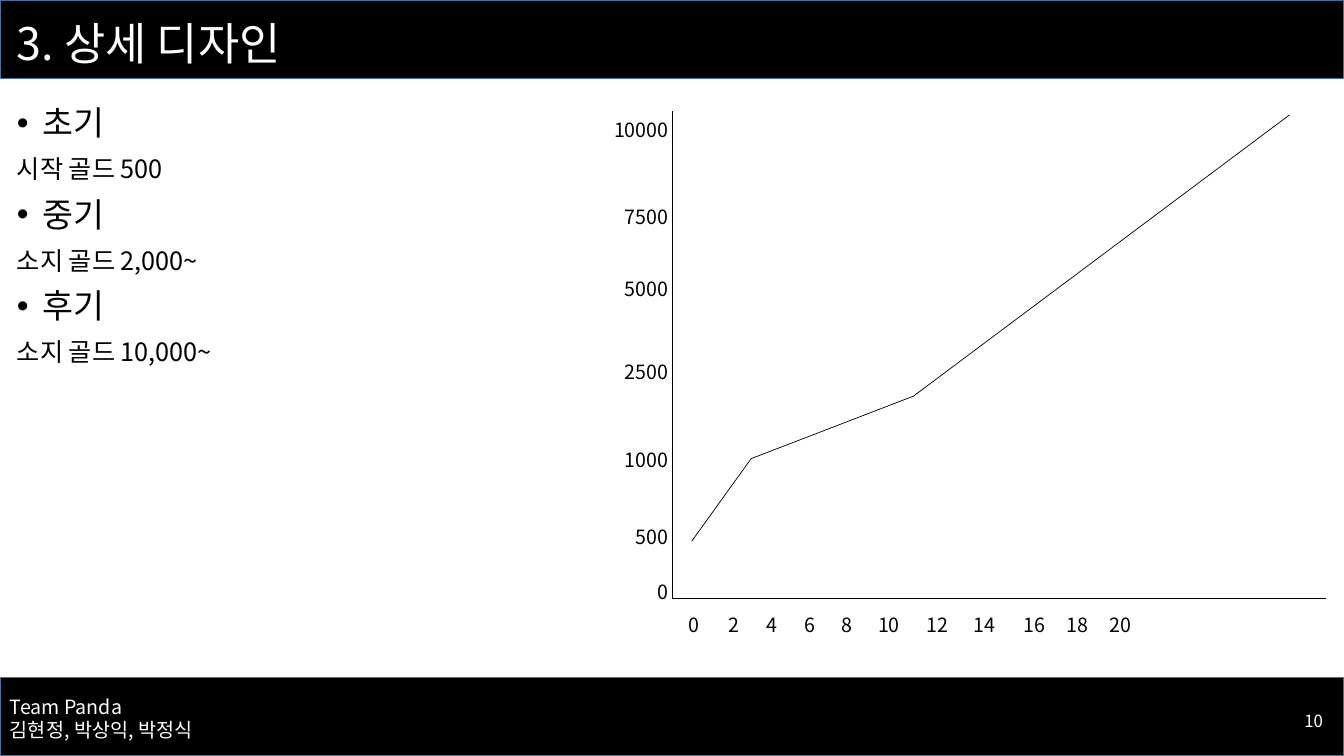
from itertools import pairwise

from lxml.etree import SubElement
from pptx import Presentation
from pptx.dml.color import RGBColor
from pptx.enum.shapes import MSO_CONNECTOR, MSO_SHAPE
from pptx.enum.text import MSO_ANCHOR, MSO_AUTO_SIZE, PP_ALIGN
from pptx.oxml.ns import qn
from pptx.util import Pt

PX = 9144  # EMU per px, 100 px to the inch


class Theme:
    font = "Noto Sans CJK KR"
    black = RGBColor(0x00, 0x00, 0x00)
    white = RGBColor(0xFF, 0xFF, 0xFF)
    bar_edge = RGBColor(0x43, 0x73, 0x9E)
    title, heading, body, label, page = 32, 24, 18, 14, 12


presentation = Presentation()
presentation.slide_width = 1333 * PX
presentation.slide_height = 750 * PX
slide = presentation.slides.add_slide(presentation.slide_layouts[6])


def add_text(box, lines, sizes, color, align=PP_ALIGN.LEFT, anchor=MSO_ANCHOR.TOP, wrap=True, grow=False):
    """Add a text box with one paragraph and one size per line."""
    shape = slide.shapes.add_textbox(*(value * PX for value in box))
    text_frame = shape.text_frame
    text_frame.word_wrap = wrap
    text_frame.vertical_anchor = anchor
    text_frame.auto_size = MSO_AUTO_SIZE.SHAPE_TO_FIT_TEXT if grow else MSO_AUTO_SIZE.NONE
    text_frame.text = "\n".join(lines)
    for paragraph, size in zip(text_frame.paragraphs, sizes):
        paragraph.alignment = align
        for run in paragraph.runs:
            run.font.size = Pt(size)
            run.font.color.rgb = color
            run.font.name = Theme.font
            SubElement(run.font._element, qn("a:ea"), typeface=Theme.font)
    return text_frame.paragraphs


def add_line(start, end):
    """Add a thin black line between two points."""
    connector = slide.shapes.add_connector(
        MSO_CONNECTOR.STRAIGHT, *(value * PX for value in (*start, *end)))
    connector.line.color.rgb = Theme.black
    connector.line.width = Pt(0.5)
    SubElement(connector._element.spPr, qn("a:effectLst"))


# Header and footer bars
for bar_top in (0, 672):
    bar = slide.shapes.add_shape(MSO_SHAPE.RECTANGLE, 0, bar_top * PX, 1333 * PX, 78 * PX)
    bar.shadow.inherit = False
    bar.fill.solid()
    bar.fill.fore_color.rgb = Theme.black
    bar.line.color.rgb = Theme.bar_edge
    bar.line.width = Pt(1)

# Footer text and page number
add_text((0, 684, 300, 57), ["Team Panda", "김현정, 박상익, 박정식"],
         [Theme.label] * 2, Theme.white, grow=True)
add_text((1022, 695, 300, 40), ["10"], [Theme.page], Theme.white,
         align=PP_ALIGN.RIGHT, anchor=MSO_ANCHOR.MIDDLE)

# Title
title = add_text((7, 3, 1150, 85), ["3. 상세 디자인"], [Theme.title], Theme.white,
                 anchor=MSO_ANCHOR.MIDDLE)
title[0].line_spacing = 0.9

# Game phases: a bulleted heading, then the gold held
phases = [
    ("초기", "시작 골드 500"),
    ("중기", "소지 골드 2,000~"),
    ("후기", "소지 골드 10,000~"),
]
phase_lines = [line for phase in phases for line in phase]
phase_paragraphs = add_text((7, 101, 554, 484), phase_lines,
                            [Theme.heading, Theme.body] * len(phases), Theme.black)
for index, paragraph in enumerate(phase_paragraphs):
    paragraph.line_spacing = 0.9
    paragraph.space_before = Pt(10)
    if index % 2 == 0:
        properties = paragraph._p.get_or_add_pPr()
        properties.set("marL", str(25 * PX))
        properties.set("indent", str(-25 * PX))
        SubElement(properties, qn("a:buFont"), typeface="Arial")
        SubElement(properties, qn("a:buChar"), char="•")

# Axes
origin = (667, 594)
add_line(origin, (1315, 594))
add_line(origin, (667, 110))

# Gold axis labels, flush right against the axis
gold_tops = {"0": 570, "500": 516, "1000": 439, "2500": 352, "5000": 270, "7500": 198, "10000": 112}
for gold, label_top in gold_tops.items():
    width = 20 + 11 * len(gold)
    add_text((673 - width, label_top, width, 34), [gold], [Theme.label], Theme.black,
             align=PP_ALIGN.RIGHT, wrap=False, grow=True)

# Horizontal axis labels, spaced by tab stops
tab_stops = [40, 77, 115, 152, 188, 236, 283, 332, 375, 418]
axis_text = "\t".join(str(value) for value in range(0, 21, 2))
axis_paragraph = add_text((673, 603, 642, 34), [axis_text], [Theme.label], Theme.black, grow=True)[0]
tab_list = SubElement(axis_paragraph._p.get_or_add_pPr(), qn("a:tabLst"))
for stop in tab_stops:
    SubElement(tab_list, qn("a:tab"), pos=str(stop * PX), algn="l")

# Gold curve
curve = [(686, 537), (745, 455), (906, 393), (1279, 114)]
for start, end in pairwise(curve):
    add_line(start, end)

presentation.save("out.pptx")
